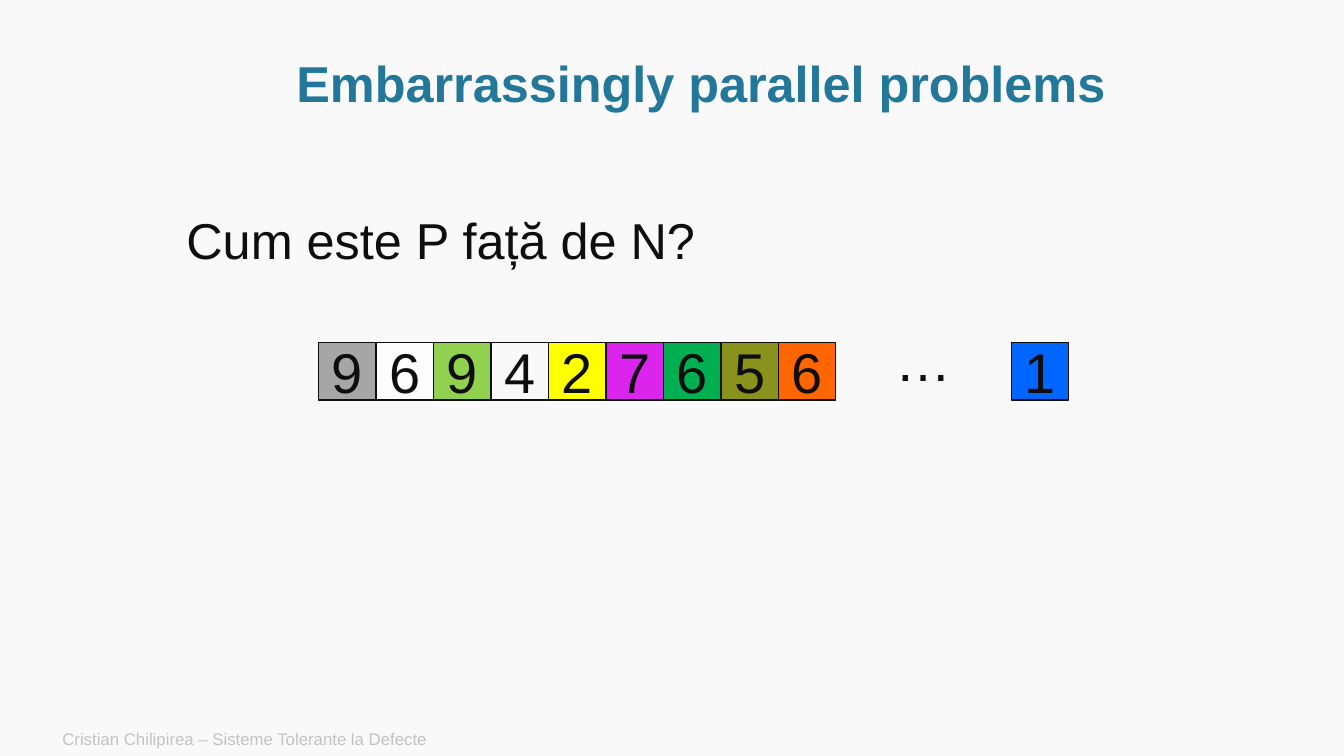
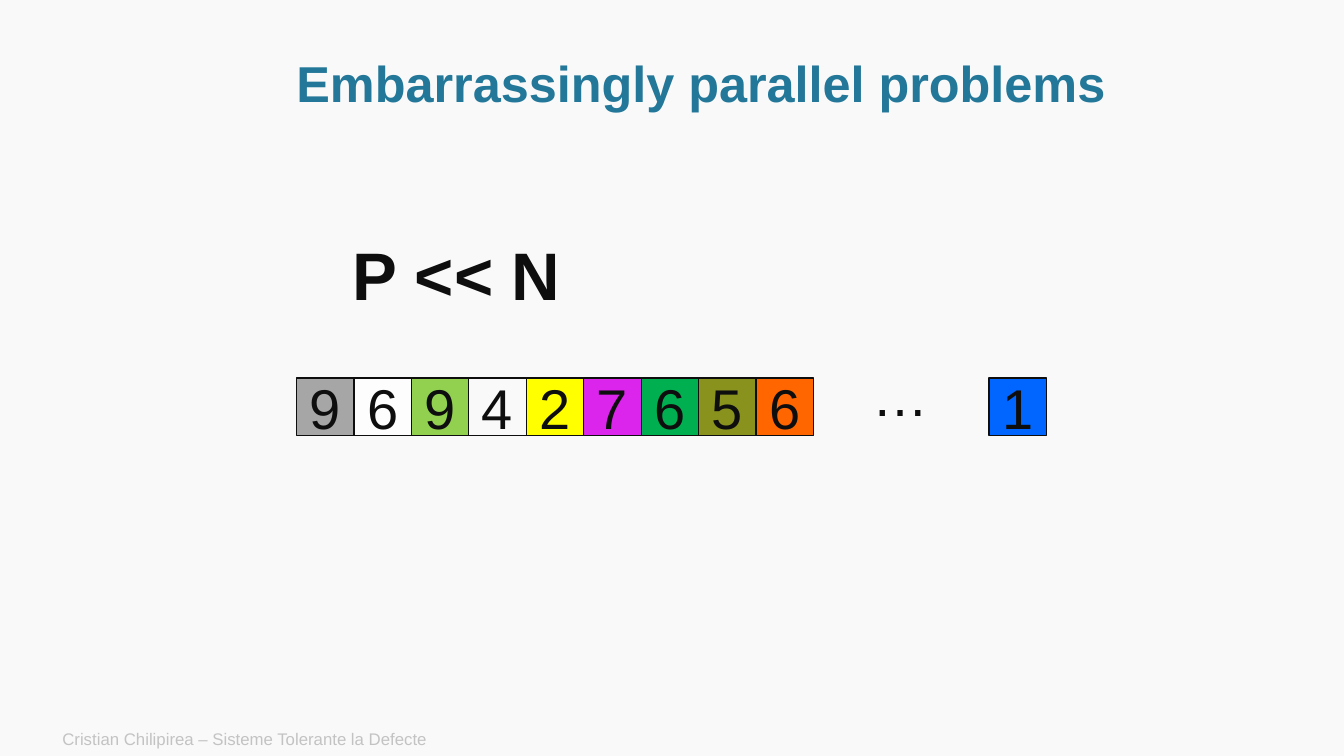
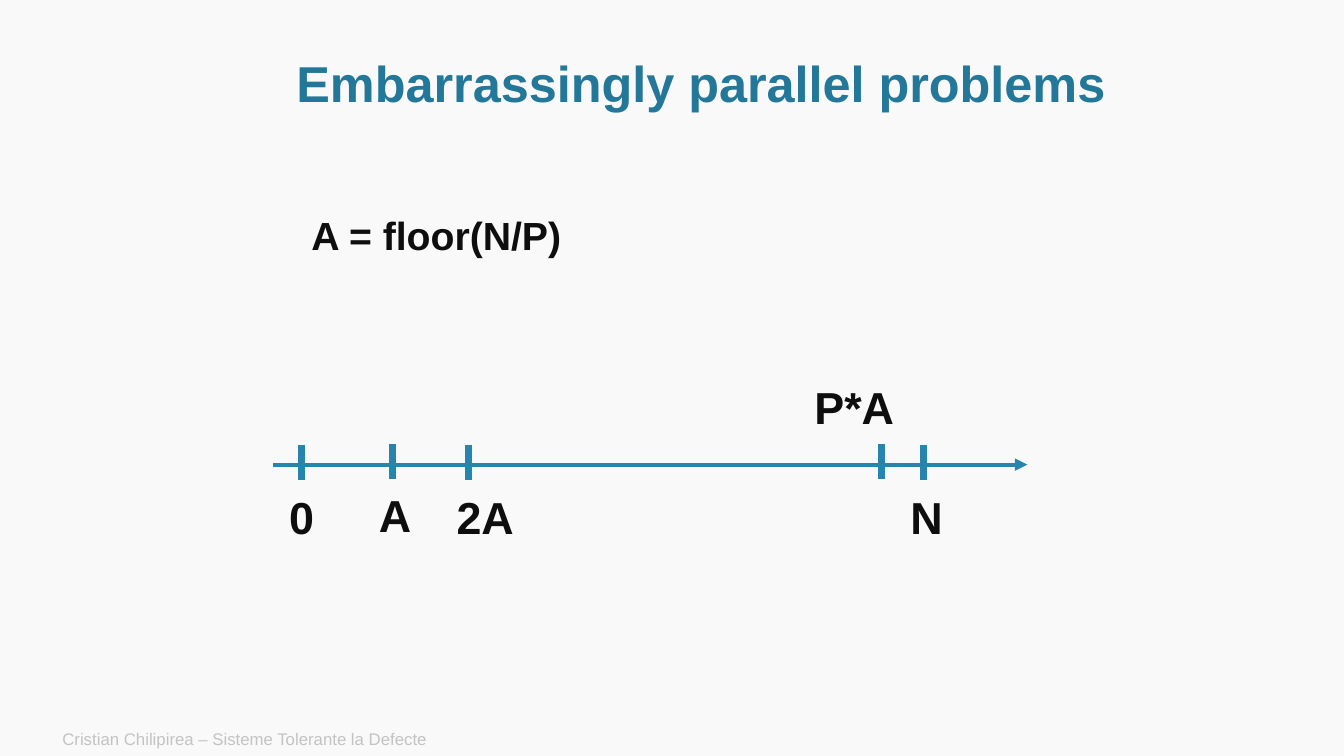
from pptx import Presentation
from pptx.dml.color import RGBColor
from pptx.enum.shapes import MSO_CONNECTOR, MSO_SHAPE
from pptx.enum.text import MSO_ANCHOR, PP_ALIGN
from pptx.oxml.ns import qn
from pptx.util import Inches, Pt
from lxml import etree

RECT = MSO_SHAPE.RECTANGLE
LINE = MSO_CONNECTOR.STRAIGHT
MID, TOP = MSO_ANCHOR.MIDDLE, MSO_ANCHOR.TOP
LEFT, CENTER = PP_ALIGN.LEFT, PP_ALIGN.CENTER

# Shared look
WIDE, HIGH = 13.33, 7.5
FONT = "Arial"
BACK, INK, HEAD, AXIS, PALE = "F9F9F9", "0E0E0E", "237798", "2785AD", "C3C3C3"
TITLE = "Embarrassingly parallel problems"
FOOT = "Cristian Chilipirea – Sisteme Tolerante la Defecte"

# Array: digit and fill of each cell, side of a cell, offsets from the left
CELLS = [("9", "A6A6A6"), ("6", "FDFDFD"), ("9", "92D050"), ("4", None),
         ("2", "FFFF00"), ("7", "DB25ED"), ("6", "00B050"), ("5", "8A921E"),
         ("6", "FF6600")]
LAST = ("1", "0066FF")
SIDE = 0.57
DOTS, END = 5.62, 6.87

# Array slides: text, its box, size, bold, corner of the array
ARRAYS = [
    ("Cum este P față de N?", (1.75, 2.03, 5.87, 0.71), 36, False, (3.16, 3.4)),
    ("P << N", (3.4, 2.27, 2.66, 0.91), 48, True, (2.94, 3.75)),
]

# Number line: label, x of the tick, top of the tick, box of the label
RULE = (2.71, 10.19, 4.61)
TICK = 0.35
MARKS = [
    ("0", 2.99, 4.41, (2.77, 4.81, 0.45, 0.64)),
    ("A", 3.89, 4.4, (3.66, 4.79, 0.53, 0.64)),
    ("2A", 4.65, 4.41, (4.43, 4.81, 0.78, 0.64)),
    ("P*A", 8.74, 4.4, (7.98, 3.72, 1, 0.64)),
    ("N", 9.16, 4.41, (8.93, 4.81, 0.53, 0.64)),
]


def rgb(code):
    return RGBColor.from_string(code)


def write(shape, text, size, color=INK, bold=False, align=LEFT, anchor=TOP,
          wrap=True, space=None):
    frame = shape.text_frame
    frame.word_wrap, frame.vertical_anchor = wrap, anchor
    para = frame.paragraphs[0]
    para.text, para.alignment = text, align
    if space:
        para.line_spacing = space
    font = para.runs[0].font
    for key, val in {"name": FONT, "size": Pt(size), "bold": bold}.items():
        setattr(font, key, val)
    font.color.rgb = rgb(color)


def label(slide, box, text, size, **look):
    write(slide.shapes.add_textbox(*map(Inches, box)), text, size, **look)


def cell(slide, x, y, digit, fill):
    box = slide.shapes.add_shape(RECT, *map(Inches, (x, y, SIDE, SIDE)))
    box.shadow.inherit = False
    if fill:
        box.fill.solid()
        box.fill.fore_color.rgb = rgb(fill)
    else:
        box.fill.background()
    box.line.color.rgb, box.line.width = rgb(INK), Pt(1)
    write(box, digit, 40, align=CENTER, anchor=MID)


def line(slide, ends, width, arrow=False):
    rule = slide.shapes.add_connector(LINE, *map(Inches, ends))
    rule.line.color.rgb, rule.line.width = rgb(AXIS), Pt(width)
    if arrow:
        tail = etree.SubElement(rule.line._get_or_add_ln(), qn("a:tailEnd"))
        tail.set("type", "triangle")
    etree.SubElement(rule._element.spPr, qn("a:effectLst"))


def page(deck):
    slide = deck.slides.add_slide(deck.slide_layouts[6])
    label(slide, (0.52, 7.16, 8.4, 0.34), FOOT, 12, color=PALE, anchor=MID)
    label(slide, (1.14, 0.51, 11.63, 0.69), TITLE, 36, color=HEAD, bold=True,
          align=CENTER, anchor=MID, space=0.9)
    return slide


def main():
    deck = Presentation()
    deck.slide_width, deck.slide_height = Inches(WIDE), Inches(HIGH)
    back = deck.slide_master.background.fill
    back.solid()
    back.fore_color.rgb = rgb(BACK)

    # Slides with the array
    for text, box, size, bold, (x, y) in ARRAYS:
        slide = page(deck)
        for col, (digit, fill) in enumerate(CELLS):
            cell(slide, x + col * SIDE, y, digit, fill)
        cell(slide, x + END, y, *LAST)
        label(slide, box, text, size, bold=bold)
        label(slide, (x + DOTS, y - 0.22, 0.76, 0.77), "…", 40, wrap=False)

    # Slide with the number line
    slide = page(deck)
    label(slide, (2.99, 2.05, 2.82, 0.57), "A = floor(N/P)", 28, bold=True,
          wrap=False)
    start, stop, y = RULE
    line(slide, (start, y, stop, y), 3, arrow=True)
    for text, x, top, box in MARKS:
        line(slide, (x, top, x, top + TICK), 5)
        label(slide, box, text, 32, bold=True, wrap=False)

    deck.save("out.pptx")


if __name__ == "__main__":
    main()
